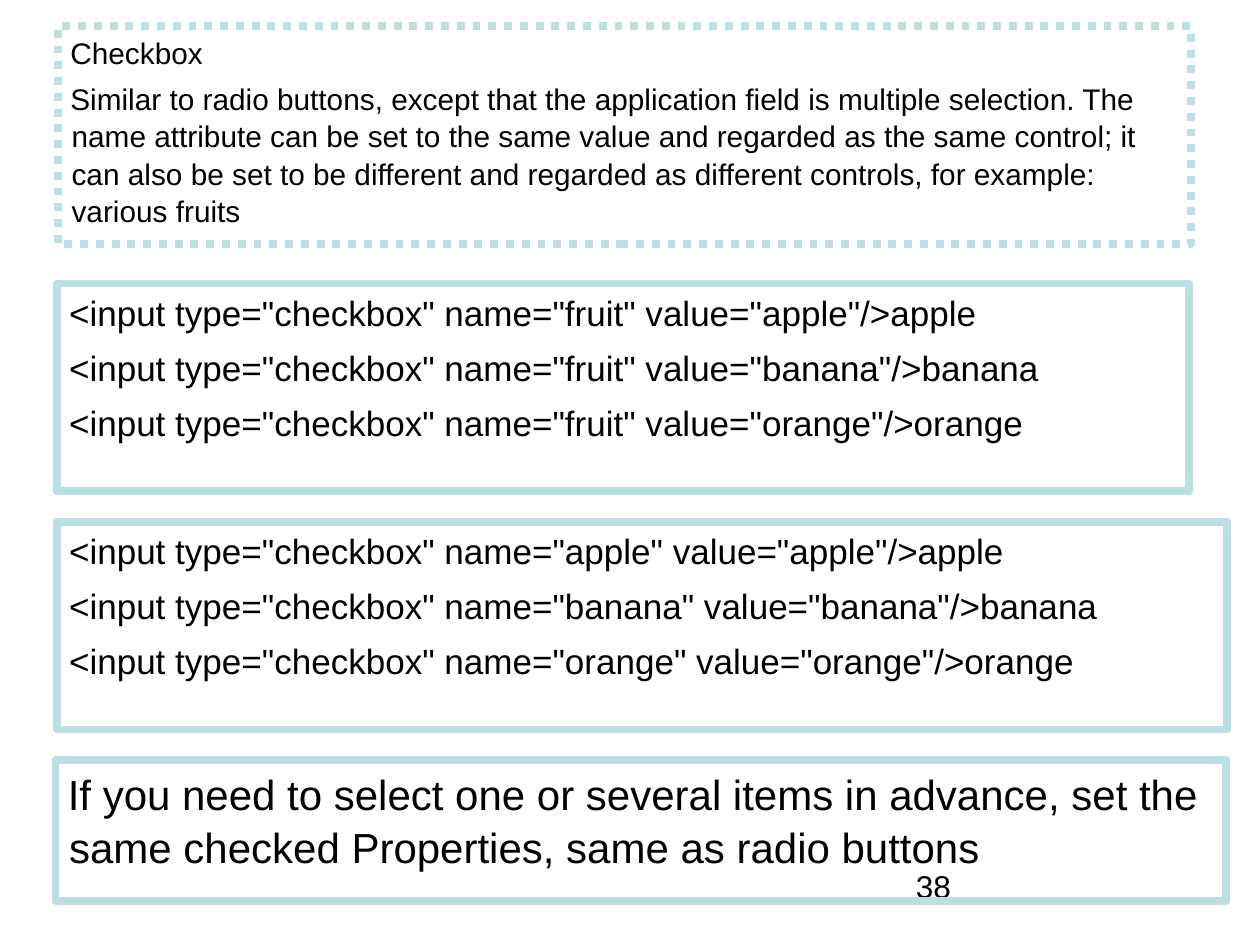
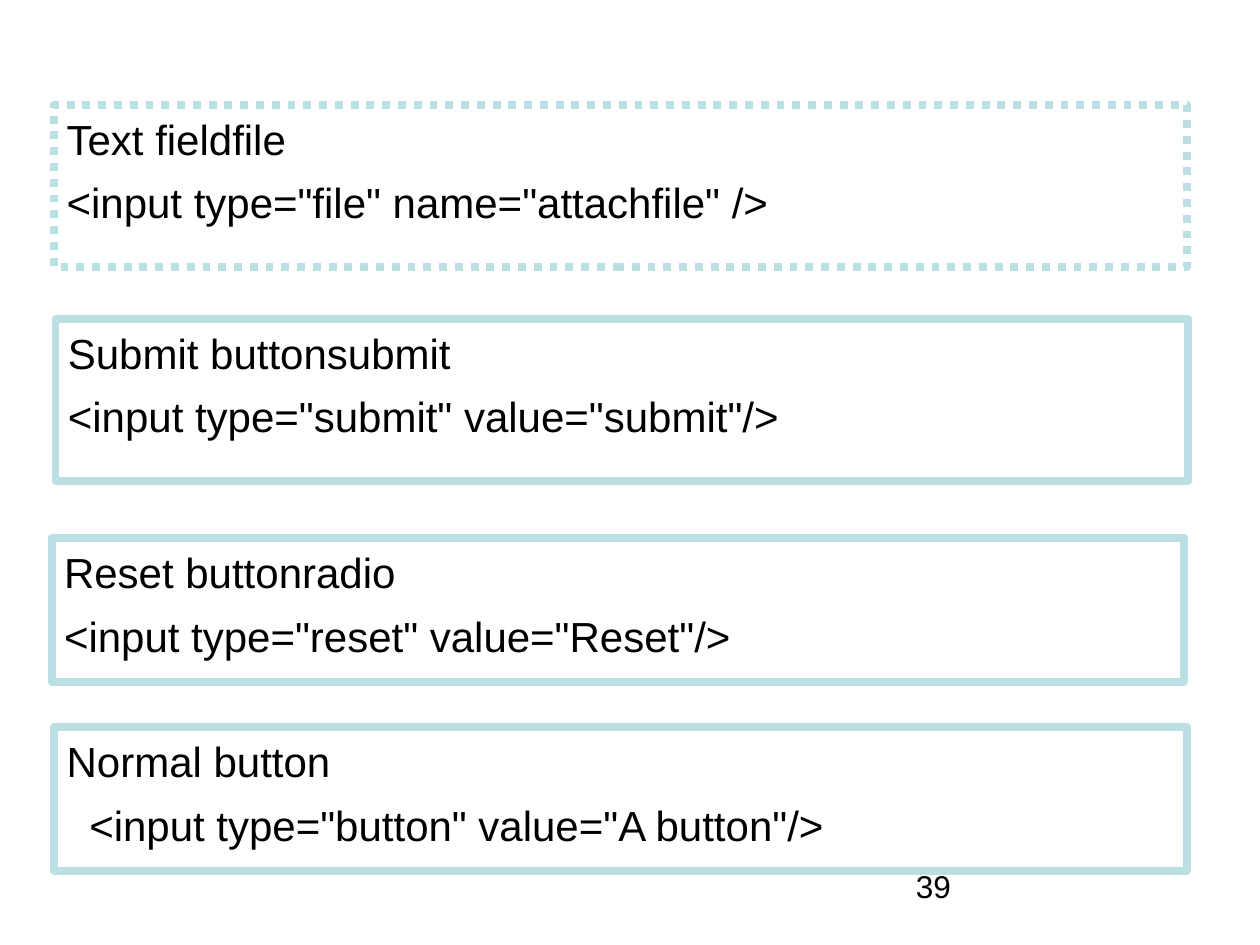
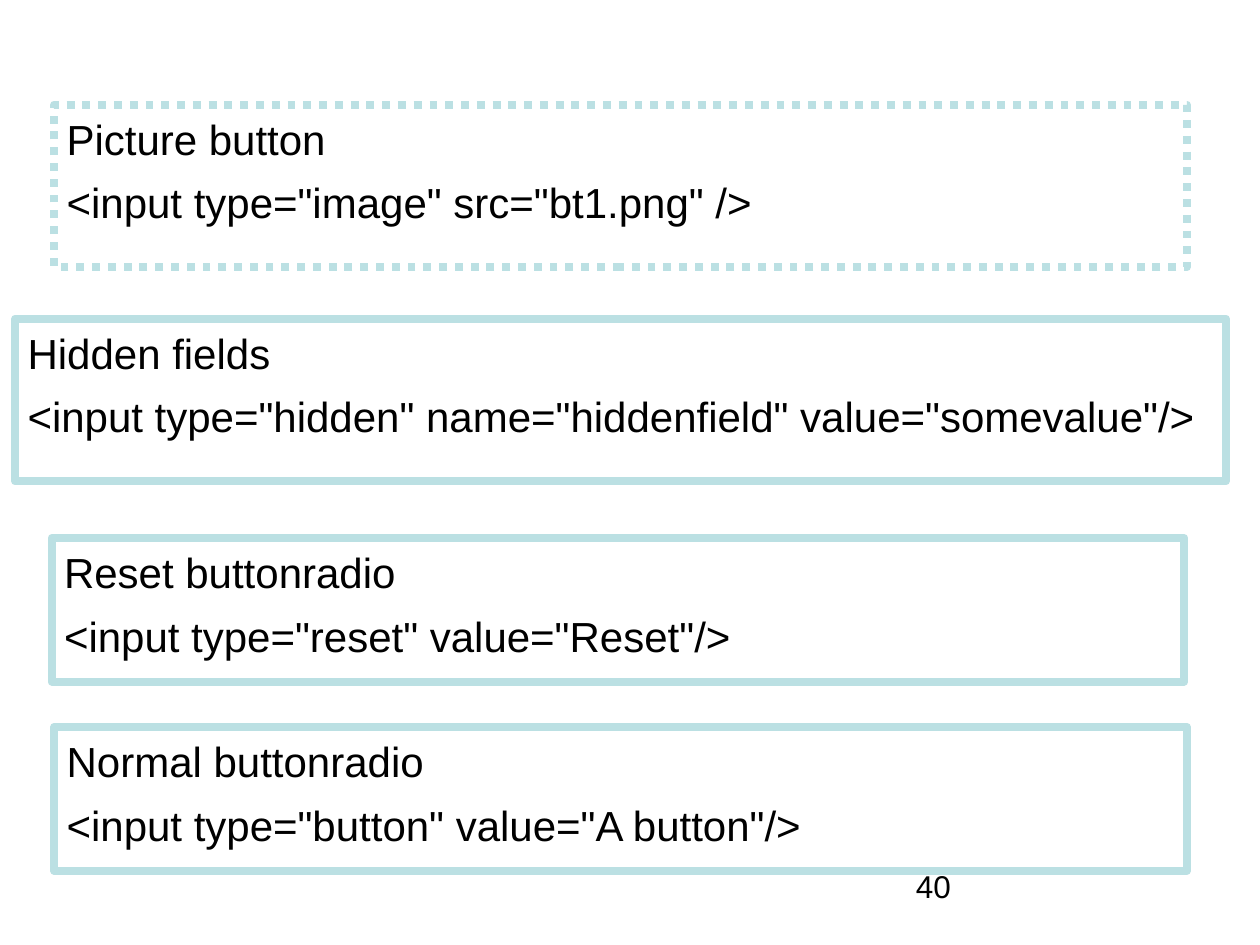
from pptx import Presentation
from pptx.dml.color import RGBColor
from pptx.enum.dml import MSO_LINE
from pptx.enum.shapes import MSO_SHAPE
from pptx.enum.text import MSO_ANCHOR, PP_ALIGN
from pptx.util import Pt

PX = 9144  # 100 px to the inch
COLORS = {"line": "BBE0E3", "text": "000000"}
FONT = "Arial"
WIDE = 899
ROWS = [(83, 129), (253, 129), (427, 114), (577, 114)]
STEP = 18  # inset of a code line below its heading


def emu(*nums):
    return [num * PX for num in nums]


def color(name):
    return RGBColor.from_string(COLORS[name])


def style(para, size):
    para.font.name = FONT
    para.font.size = Pt(size)
    para.font.color.rgb = color("text")
    para.alignment = PP_ALIGN.LEFT


def number(slide, num):
    frame = slide.shapes.add_textbox(*emu(717, 683, 233, 52)).text_frame
    frame.word_wrap = True
    frame.text = str(num)
    style(frame.paragraphs[0], 18)


def panel(slide, box, lines, size=24, gap=6, dotted=False, inset=0):
    """Outlined box of text; inset moves every line after the first."""
    shape = slide.shapes.add_shape(MSO_SHAPE.RECTANGLE, *emu(*box))
    shape.shadow.inherit = False
    shape.fill.background()
    shape.line.color.rgb = color("line")
    shape.line.width = Pt(4.5)
    if dotted:
        shape.line.dash_style = MSO_LINE.ROUND_DOT
    frame = shape.text_frame
    frame.word_wrap = True
    frame.vertical_anchor = MSO_ANCHOR.TOP
    frame.text = "\n".join(lines)
    for i, para in enumerate(frame.paragraphs):
        style(para, size)
        para.space_before = Pt(gap)
        para.line_spacing = 1.05
        props = para._p.get_or_add_pPr()
        props.set("marL", str((1 + (inset if i else 0)) * PX))
        props.set("indent", str(-PX))


def choices(slide):
    fruits = ["apple", "banana", "orange"]
    tag = '<input type="checkbox" name="{}" value="{}"/>{}'
    panel(slide, (46, 21, WIDE, 173), [
        "Checkbox",
        "Similar to radio buttons, except that the application field is "
        "multiple selection. The name attribute can be set to the same value "
        "and regarded as the same control; it can also be set to be different "
        "and regarded as different controls, for example: various fruits",
    ], size=17, gap=5, dotted=True)
    panel(slide, (45, 225, WIDE, 165),
          [tag.format("fruit", fruit, fruit) for fruit in fruits], size=20)
    panel(slide, (45, 414, 929, 165),
          [tag.format(fruit, fruit, fruit) for fruit in fruits], size=20)
    panel(slide, (44, 603, 929, 112), [
        "If you need to select one or several items in advance, set the same "
        "checked Properties, same as radio buttons"])


def controls(slide, items):
    """Four stacked panels; an item is left, width, heading, code, inset."""
    for i, ((top, high), item) in enumerate(zip(ROWS, items)):
        left, wide, head, code, inset = item
        panel(slide, (left, top, wide, high), [head, code],
              dotted=i == 0, inset=inset)


RESET = (41, WIDE, "Reset buttonradio", '<input type="reset" value="Reset"/>', 0)
BUTTON = '<input type="button" value="A button"/>'
FIELDS = [
    (43, WIDE, "Text fieldfile", '<input type="file" name="attachfile" />', 0),
    (44, WIDE, "Submit buttonsubmit", '<input type="submit" value="submit"/>', 0),
    RESET,
    (43, WIDE, "Normal button", BUTTON, STEP),
]
EXTRAS = [
    (43, WIDE, "Picture button", '<input type="image" src="bt1.png" />', 0),
    (12, 961, "Hidden fields",
     '<input type="hidden" name="hiddenfield" value="somevalue"/>', 0),
    RESET,
    (43, WIDE, "Normal buttonradio", BUTTON, 0),
]


def main():
    deck = Presentation()
    deck.slide_width, deck.slide_height = emu(1000, 750)
    pages = []
    for num in (38, 39, 40):
        slide = deck.slides.add_slide(deck.slide_layouts[6])
        number(slide, num)
        pages.append(slide)
    choices(pages[0])
    controls(pages[1], FIELDS)
    controls(pages[2], EXTRAS)
    deck.save("out.pptx")


if __name__ == "__main__":
    main()
